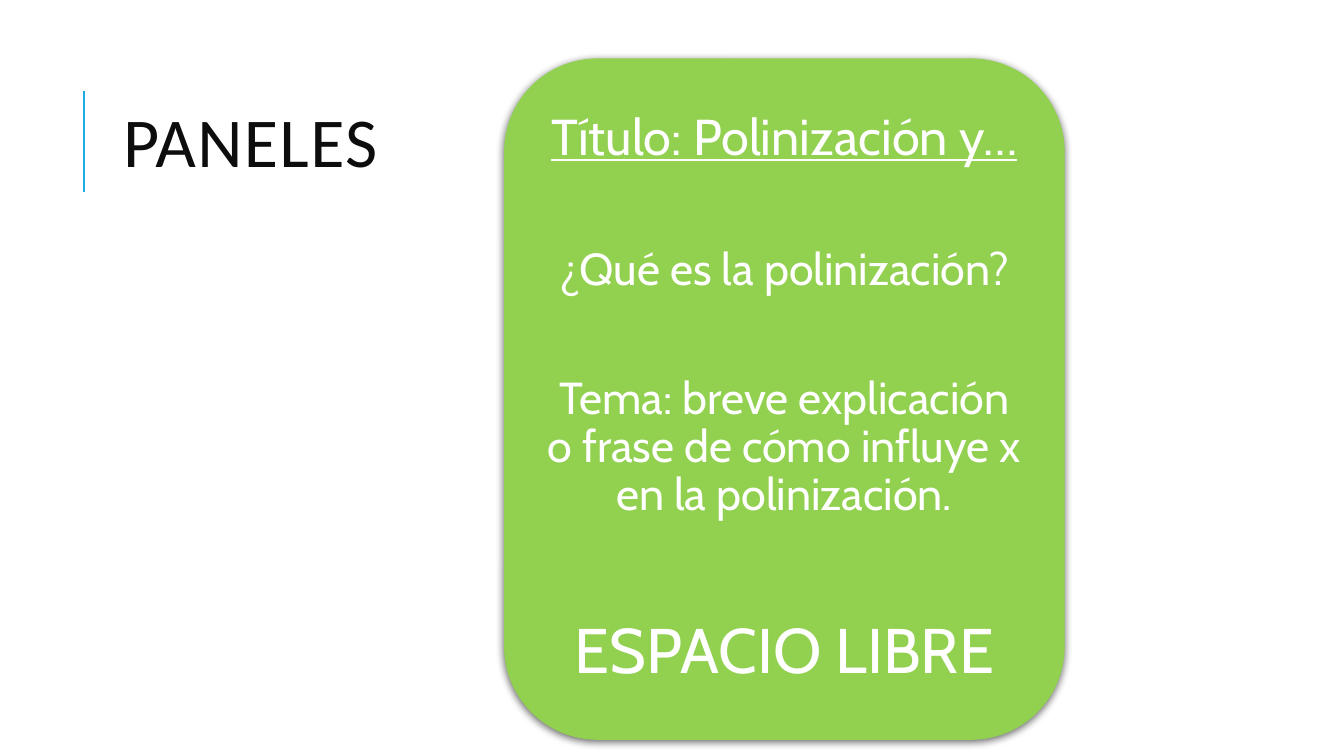
from dataclasses import dataclass

from lxml import etree
from pptx import Presentation
from pptx.dml.color import RGBColor
from pptx.enum.shapes import MSO_CONNECTOR, MSO_SHAPE
from pptx.enum.text import MSO_ANCHOR, PP_ALIGN
from pptx.oxml.ns import qn
from pptx.util import Inches, Pt

STRAIGHT = MSO_CONNECTOR.STRAIGHT
ROUNDED_RECTANGLE = MSO_SHAPE.ROUNDED_RECTANGLE
MIDDLE = MSO_ANCHOR.MIDDLE
LEFT = PP_ALIGN.LEFT
CENTER = PP_ALIGN.CENTER
TITLE_ONLY = 5


@dataclass(frozen=True)
class Theme:
    title_font: str = "Calibri"
    panel_font: str = "Cabin"
    accent: RGBColor = RGBColor(0x1C, 0xAD, 0xE4)
    title_color: RGBColor = RGBColor(0x0D, 0x0D, 0x0D)
    panel_fill: RGBColor = RGBColor(0x92, 0xD0, 0x50)
    panel_text: RGBColor = RGBColor(0xFF, 0xFF, 0xFF)
    shadow: str = "000000"
    title_size: int = 50
    heading_size: int = 36
    body_size: int = 32
    closing_size: int = 45


THEME = Theme()

# Text, size, underline, space before in points
PANEL_PARAGRAPHS = [
    ("Título: Polinización y…", THEME.heading_size, True, 0),
    ("¿Qué es la polinización?", THEME.body_size, False, 58),
    ("Tema: breve explicación o frase de cómo influye x en la polinización.",
     THEME.body_size, False, 57),
    ("ESPACIO LIBRE", THEME.closing_size, False, 70),
]


def format_run(run, font_name, size, color):
    run.font.name = font_name
    run.font.size = Pt(size)
    run.font.color.rgb = color


def add_accent_line(slide):
    line = slide.shapes.add_connector(
        STRAIGHT, Inches(0.83), Inches(1.9), Inches(0.83), Inches(0.9))
    line.line.color.rgb = THEME.accent
    line.line.width = Pt(1.5)
    etree.SubElement(line._element.spPr, qn("a:effectLst"))


def set_title(slide, text):
    title = slide.shapes.title
    title.left, title.top = Inches(1.12), Inches(0.64)
    title.width, title.height = Inches(3.66), Inches(1.64)
    title.text_frame.text = text
    title.text_frame.vertical_anchor = MIDDLE
    paragraph = title.text_frame.paragraphs[0]
    paragraph.alignment = LEFT
    paragraph.line_spacing = 0.8
    run = paragraph.runs[0]
    format_run(run, THEME.title_font, THEME.title_size, THEME.title_color)
    run.font._element.set("spc", "100")


def add_soft_shadow(shape):
    shape.shadow.inherit = False
    effects = shape._element.spPr.find(qn("a:effectLst"))
    shadow = etree.SubElement(
        effects, qn("a:outerShdw"), blurRad=str(Pt(6)), dist=str(Pt(2)),
        dir=str(90 * 60000), rotWithShape="0")
    color = etree.SubElement(shadow, qn("a:srgbClr"), val=THEME.shadow)
    etree.SubElement(color, qn("a:alpha"), val="60000")


def add_panel(slide, paragraphs):
    panel = slide.shapes.add_shape(
        ROUNDED_RECTANGLE, Inches(5), Inches(0.58), Inches(5.56), Inches(6.76))
    panel.fill.solid()
    panel.fill.fore_color.rgb = THEME.panel_fill
    panel.line.fill.background()
    add_soft_shadow(panel)

    frame = panel.text_frame
    frame.word_wrap = True
    frame.vertical_anchor = MIDDLE
    frame.margin_left = frame.margin_right = Inches(0.15)
    frame.margin_top = frame.margin_bottom = Inches(0.07)
    frame.text = "\n".join(text for text, *_ in paragraphs)
    for paragraph, (_, size, underline, space) in zip(frame.paragraphs, paragraphs):
        paragraph.alignment = CENTER
        paragraph.line_spacing = 0.9
        paragraph.space_before = Pt(space)
        run = paragraph.runs[0]
        format_run(run, THEME.panel_font, size, THEME.panel_text)
        run.font.underline = underline


def main():
    presentation = Presentation()
    presentation.slide_width = Inches(13.33)
    presentation.slide_height = Inches(7.5)
    slide = presentation.slides.add_slide(presentation.slide_layouts[TITLE_ONLY])
    add_accent_line(slide)
    set_title(slide, "PANELES")
    add_panel(slide, PANEL_PARAGRAPHS)
    presentation.save("out.pptx")


if __name__ == "__main__":
    main()
